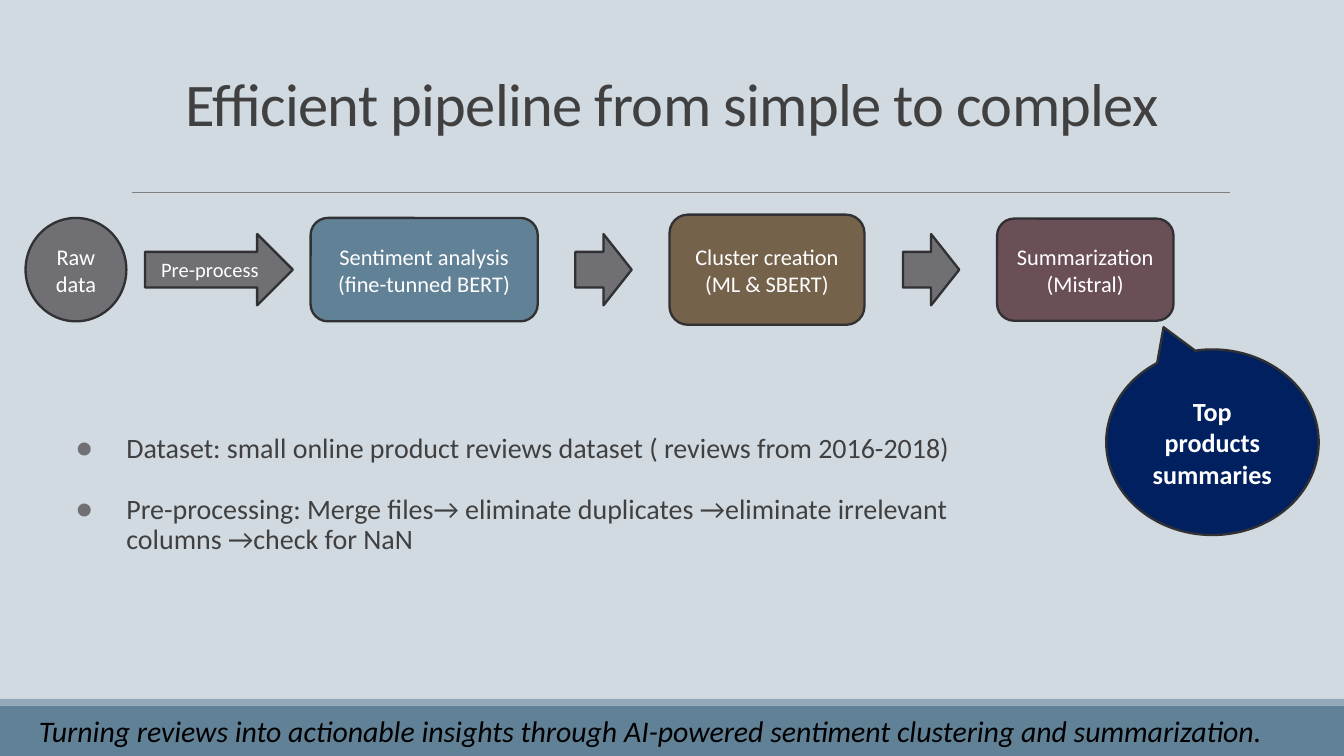
import pptx
import pptx.util
import pptx.dml.color
import pptx.enum.shapes
import pptx.enum.text
import pptx.oxml.ns
import lxml.etree

Pt = pptx.util.Pt
MSO = pptx.enum.shapes.MSO_SHAPE
ALIGN = pptx.enum.text.PP_ALIGN
ANCHOR = pptx.enum.text.MSO_ANCHOR
FIT = pptx.enum.text.MSO_AUTO_SIZE
qn = pptx.oxml.ns.qn

FONT = "Calibri"
HEX = {
    "back": "D1D9E1", "blue": "618197", "pale": "92A9B9", "rule": "808080",
    "text": "404040", "gray": "6F6F74", "edge": "313133", "brown": "75624B",
    "plum": "6A4F57", "navy": "002060", "white": "FFFFFF", "black": "000000",
}


def color(name):
    return pptx.dml.color.RGBColor.from_string(HEX[name])


def style(frame, size, tint, bold=False, italic=False, align=None):
    """Format every run of a text frame alike."""
    for para in frame.paragraphs:
        if align is not None:
            para.alignment = align
        for run in para.runs:
            font = run.font
            font.name, font.size = FONT, Pt(size)
            font.bold, font.italic = bold, italic
            font.color.rgb = color(tint)


def place(item, box):
    item.left, item.top, item.width, item.height = [Pt(n) for n in box]


def pad(frame, size):
    frame.margin_left = frame.margin_right = Pt(size)
    frame.margin_top = frame.margin_bottom = Pt(size)


def draw(slide, kind, box, fill, edge=None):
    shape = slide.shapes.add_shape(kind, *[Pt(n) for n in box])
    shape.shadow.inherit = False
    shape.fill.solid()
    shape.fill.fore_color.rgb = color(fill)
    if edge:
        shape.line.color.rgb = color(edge)
        shape.line.width = Pt(1.25)
    else:
        shape.line.fill.background()
    return shape


def label(shape, text, size, bold=False):
    frame = shape.text_frame
    frame.text = text
    frame.vertical_anchor = ANCHOR.MIDDLE
    style(frame, size, "white", bold, align=ALIGN.CENTER)


def head(slide, box):
    """Title with a thin rule below it."""
    left, top, width, height = box
    title = slide.shapes.title
    place(title, box)
    frame = title.text_frame
    frame.text = "Efficient pipeline from simple to complex"
    frame.auto_size = FIT.NONE
    frame.vertical_anchor = ANCHOR.MIDDLE
    pad(frame, 7.2)
    para = frame.paragraphs[0]
    para.line_spacing = 0.85
    style(frame, 32.4, "text", align=ALIGN.CENTER)
    para.runs[0].font._element.set("spc", "-40")

    y = Pt(top + height + 22.3)
    rule = slide.shapes.add_connector(
        pptx.enum.shapes.MSO_CONNECTOR.STRAIGHT,
        Pt(left + 46), y, Pt(left + width - 36.5), y)
    rule.line.color.rgb = color("rule")
    rule.line.width = Pt(0.5)
    lxml.etree.SubElement(rule._element.spPr, qn("a:effectLst"))


def flow(slide, box):
    """Steps in a row, all centred on the middle of the box."""
    left, top, width, height = box
    mid = top + height / 2
    steps = [
        (MSO.OVAL, 0, 54, 55.4, "gray", "Raw data", 12),
        (MSO.RIGHT_ARROW, 64, 79.2, 38.2, "gray", "Pre-process", 11),
        (MSO.ROUNDED_RECTANGLE, 152.7, 121.7, 55.4, "blue",
         "Sentiment analysis\v(fine-tunned BERT)", 12),
        (MSO.RIGHT_ARROW, 294.5, 30.2, 38.2, "gray", "", 12),
        (MSO.ROUNDED_RECTANGLE, 345, 104.4, 59, "brown",
         "Cluster creation\v(ML & SBERT)", 12),
        (MSO.RIGHT_ARROW, 470, 30.2, 38.2, "gray", "", 12),
        (MSO.ROUNDED_RECTANGLE, 520.5, 94.5, 54.7, "plum",
         "Summarization\v(Mistral)", 12),
    ]
    for kind, x, wide, high, fill, text, size in steps:
        spot = (left + x, mid - high / 2, wide, high)
        shape = draw(slide, kind, spot, fill, "edge")
        if text:
            label(shape, text, size)


def callout(slide, box):
    shape = draw(slide, MSO.OVAL_CALLOUT, box, "navy", "edge")
    shape.adjustments[0] = -0.23
    shape.adjustments[1] = -0.62
    label(shape, "Top products summaries", 14, bold=True)


def bullet(para):
    props = para._p.get_or_add_pPr()
    props.set("marL", str(Pt(36)))
    props.set("indent", str(-Pt(27)))
    tint = lxml.etree.SubElement(props, qn("a:buClr"))
    lxml.etree.SubElement(tint, qn("a:srgbClr"), val=HEX["gray"])
    lxml.etree.SubElement(props, qn("a:buFont"), typeface=FONT)
    lxml.etree.SubElement(props, qn("a:buChar"), char="●")


def notes(slide, box):
    """Bulleted list on the data and its cleaning."""
    body = slide.placeholders[1]
    place(body, box)
    frame = body.text_frame
    frame.text = "\n".join([
        "Dataset: small online product reviews dataset ( reviews from 2016-2018)",
        "Pre-processing: Merge files→ eliminate duplicates →eliminate irrelevant "
        "columns →check for NaN",
    ])
    frame.auto_size = FIT.NONE
    frame.vertical_anchor = ANCHOR.TOP
    pad(frame, 7.2)
    for i, para in enumerate(frame.paragraphs):
        bullet(para)
        para.line_spacing = 0.9
        para.space_before = Pt(16.4 if i else 0)
    style(frame, 15, "text", align=ALIGN.LEFT)


def foot(slide, box):
    """Two-tone band with the closing line."""
    left, top, width, height = box
    strip = 3.6
    draw(slide, MSO.RECTANGLE, (left, top + strip, width, height - strip), "blue")
    draw(slide, MSO.RECTANGLE, (left, top, width, strip), "pale")
    spot = (left + 13.7, top + strip, width - 27.4, height - strip)
    frame = slide.shapes.add_textbox(*[Pt(n) for n in spot]).text_frame
    frame.word_wrap = True
    frame.text = ("Turning reviews into actionable insights through AI-powered "
                  "sentiment clustering and summarization.")
    style(frame, 16, "black", italic=True)


def main():
    deck = pptx.Presentation()
    deck.slide_width, deck.slide_height = Pt(720), Pt(405)
    slide = deck.slides.add_slide(deck.slide_layouts[1])
    slide.background.fill.solid()
    slide.background.fill.fore_color.rgb = color("back")
    foot(slide, (0, 374.4, 720, 30.6))
    head(slide, (24.5, 35.3, 671, 45.4))
    notes(slide, (24.5, 225.4, 510.5, 159.8))
    flow(slide, (13.7, 115, 615, 59))
    callout(slide, (592.6, 187.2, 113.8, 99.4))
    deck.save("out.pptx")


if __name__ == "__main__":
    main()
